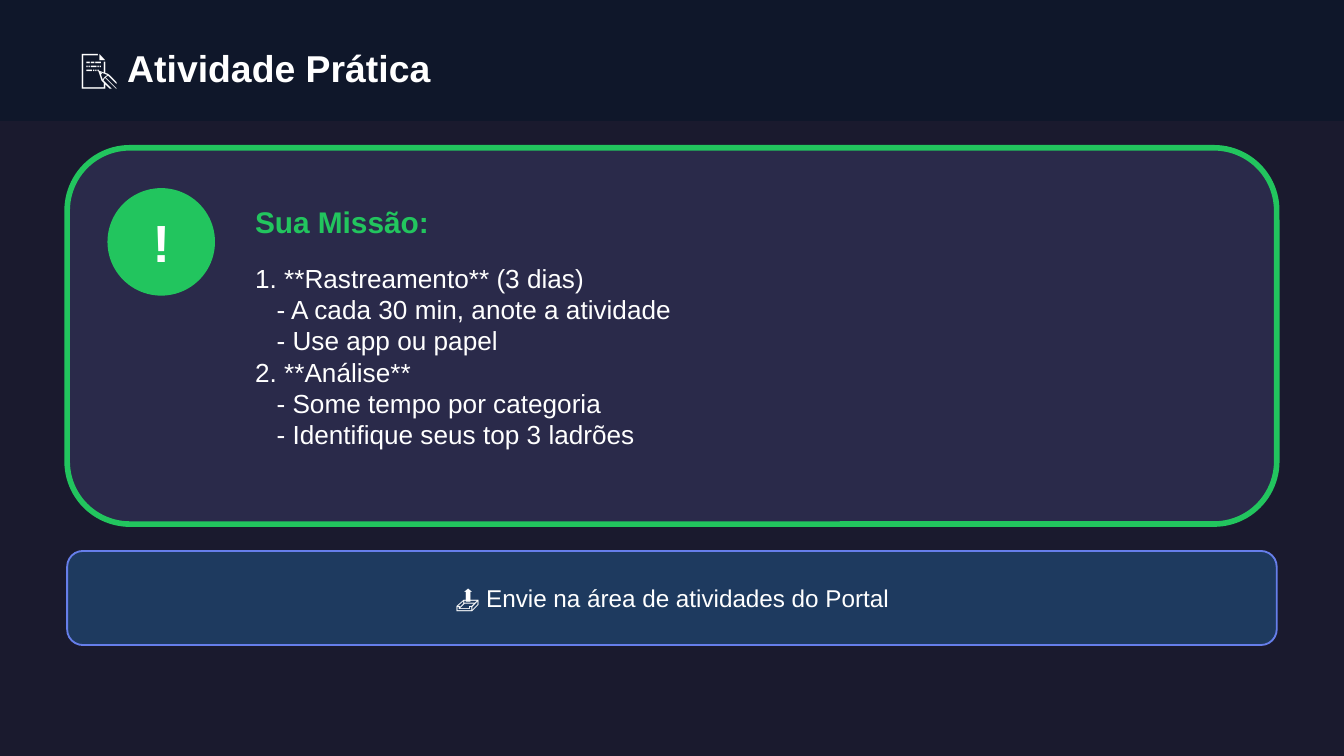
from pptx import Presentation
from pptx.dml.color import RGBColor
from pptx.enum.shapes import MSO_SHAPE
from pptx.enum.text import MSO_ANCHOR, PP_ALIGN
from pptx.util import Inches, Pt

BACKGROUND = "1A1A2E"
HEADER = "0F172A"
PANEL = "2A2A4A"
GREEN = "22C55E"
NAVY = "1E3A5F"
PERIWINKLE = "667EEA"
WHITE = "FFFFFF"

MISSION_STEPS = [
    ("1. **Rastreamento** (3 dias)", 0),
    ("- A cada 30 min, anote a atividade", 1),
    ("- Use app ou papel", 1),
    ("2. **Análise**", 0),
    ("- Some tempo por categoria", 1),
    ("- Identifique seus top 3 ladrões", 1),
]


def color(hex_value):
    return RGBColor.from_string(hex_value)


class SlideBuilder:
    """Holds the text style and the slide being filled."""

    font = "Arial"
    step_indent = Inches(0.16)

    def __init__(self, slide, background):
        self.slide = slide
        slide.background.fill.solid()
        slide.background.fill.fore_color.rgb = color(background)

    def box(self, kind, left, top, width, height, fill, line=None, line_width=1):
        shape = self.slide.shapes.add_shape(
            kind, Inches(left), Inches(top), Inches(width), Inches(height))
        shape.shadow.inherit = False
        shape.fill.solid()
        shape.fill.fore_color.rgb = color(fill)
        if line:
            shape.line.color.rgb = color(line)
            shape.line.width = Pt(line_width)
        else:
            shape.line.fill.background()

    def text(self, paragraphs, left, top, width, height, size, ink=WHITE,
             bold=False, align=PP_ALIGN.LEFT, anchor=MSO_ANCHOR.MIDDLE):
        """Write (wording, indent level) pairs, one paragraph each."""
        frame = self.slide.shapes.add_textbox(
            Inches(left), Inches(top), Inches(width), Inches(height)).text_frame
        frame.word_wrap = True
        frame.vertical_anchor = anchor
        for index, (wording, level) in enumerate(paragraphs):
            paragraph = frame.add_paragraph() if index else frame.paragraphs[0]
            paragraph.alignment = align
            if level:
                paragraph._p.get_or_add_pPr().set("marL", str(level * self.step_indent))
            run = paragraph.add_run()
            run.text = wording
            run.font.name = self.font
            run.font.size = Pt(size)
            run.font.bold = bold
            run.font.color.rgb = color(ink)


def main():
    deck = Presentation()
    deck.slide_width = Inches(10)
    deck.slide_height = deck.slide_width * 9 // 16
    page = SlideBuilder(deck.slides.add_slide(deck.slide_layouts[6]), BACKGROUND)

    page.box(MSO_SHAPE.RECTANGLE, 0, 0, 10, 0.9, HEADER)
    page.text([("📝 Atividade Prática", 0)], 0.5, 0.25, 9, 0.5, 20, bold=True)

    page.box(MSO_SHAPE.ROUNDED_RECTANGLE, 0.5, 1.1, 9, 2.8, PANEL, GREEN, 3)
    page.box(MSO_SHAPE.OVAL, 0.8, 1.4, 0.8, 0.8, GREEN)
    page.text([("!", 0)], 0.8, 1.5, 0.8, 0.6, 28, bold=True, align=PP_ALIGN.CENTER)
    page.text([("Sua Missão:", 0)], 1.8, 1.4, 7.5, 0.5, 16, GREEN, bold=True)
    page.text(MISSION_STEPS, 1.8, 1.9, 7.4, 1.8, 14, anchor=MSO_ANCHOR.TOP)

    page.box(MSO_SHAPE.ROUNDED_RECTANGLE, 0.5, 4.1, 9, 0.7, NAVY, PERIWINKLE)
    page.text([("📤 Envie na área de atividades do Portal", 0)],
              0.5, 4.25, 9, 0.4, 13, align=PP_ALIGN.CENTER)

    deck.save("out.pptx")


if __name__ == "__main__":
    main()
